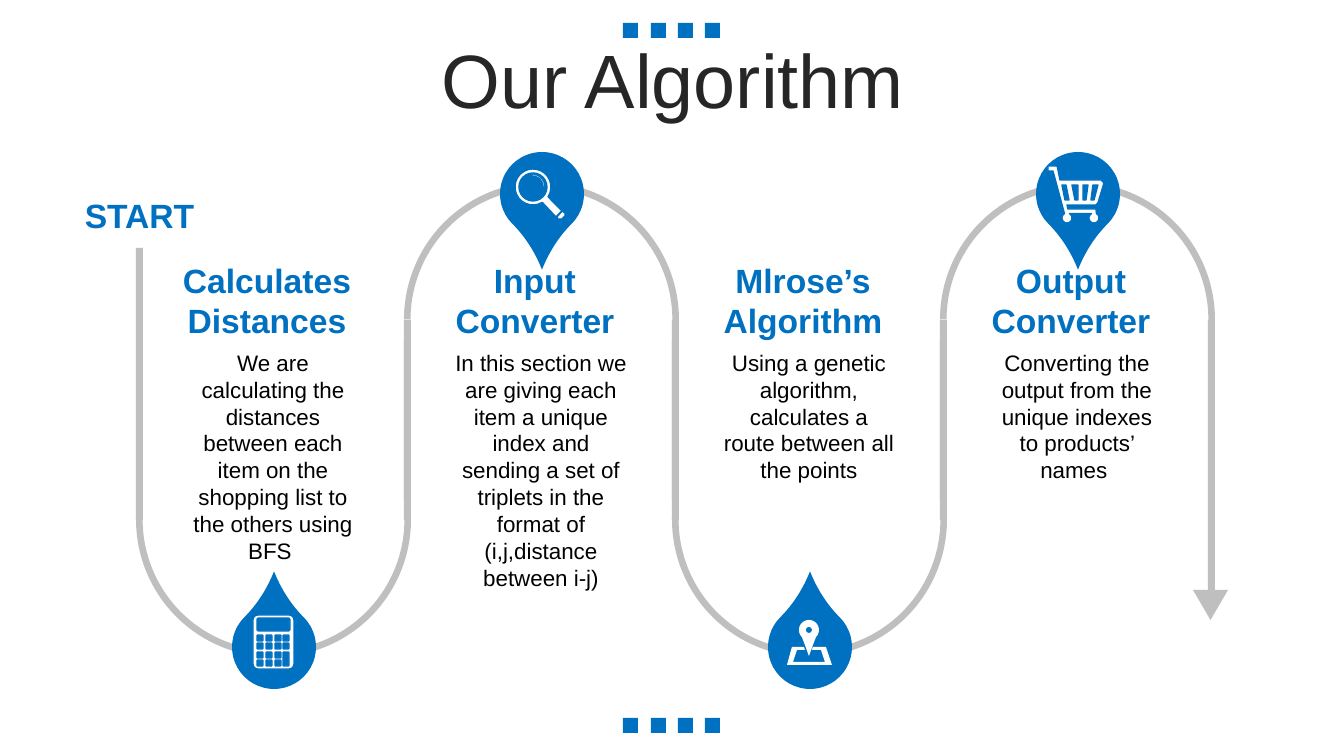
from math import cos, radians, sin

from pptx import Presentation
from pptx.dml.color import RGBColor
from pptx.enum.shapes import MSO_SHAPE
from pptx.enum.text import MSO_ANCHOR, MSO_AUTO_SIZE, PP_ALIGN
from pptx.util import Emu, Pt

# Content
TITLE = "Our Algorithm"
START = "START"
STAGES = [
    ("Calculates Distances",
     "We are calculating the distances between each item on the shopping list "
     "to the others using BFS ", 228),
    ("Input Converter",
     "In this section we are giving each item a unique index and sending a set "
     "of triplets in the format of (i,j,distance between i-j)", 254),
    ("Mlrose’s Algorithm",
     "Using a genetic algorithm, calculates a route between all the points", 146),
    ("Output Converter",
     "Converting the output from the unique indexes to products’ names ", 146),
]

COLORS = {"blue": "0070C0", "road": "BFBFBF", "title": "262626",
          "body": "000000", "icon": "FFFFFF"}
FORMATS = {
    "title": {"size": Pt(54), "bold": False},
    "heading": {"size": Pt(24), "bold": True},
    "body": {"size": Pt(16), "bold": False},
}

# Layout in px
EMU_PER_PX = 914400 / 100.8
PITCH, LANE_X, LANE_W = 268, 136, 7
ARCH = PITCH + LANE_W
LEG, LONG_LEG = 179, 272
DROP = 84


def px(length):
    return Emu(round(length * EMU_PER_PX))


# Icon outlines
def arc(cx, cy, radius, start=0, end=360, steps=24):
    angles = [radians(start + (end - start) * k / steps) for k in range(steps + 1)]
    return [(cx + radius * cos(a), cy + radius * sin(a)) for a in angles]


def rounded(left, top, width, height, radius):
    right, bottom = left + width - radius, top + height - radius
    left, top = left + radius, top + radius
    corners = [(left, top), (right, top), (right, bottom), (left, bottom)]
    return [point for k, (x, y) in enumerate(corners)
            for point in arc(x, y, radius, 180 + 90 * k, 270 + 90 * k, 6)]


def calculator():
    columns, rows = (257, 266, 275, 283), (635, 643, 652, 660)
    keys = [rounded(x, y, 6, 6, 1) for y in rows for x in columns
            if x < columns[-1] or y < rows[2]]
    tall_key = rounded(columns[-1], rows[2], 6, 14, 1)
    return [rounded(253, 615, 41, 54, 5), rounded(257, 618, 33, 13, 2),
            *keys, tall_key]


def magnifier():
    return [
        [*arc(533, 187, 18, 59, 393), (562, 211), (556, 217)],
        arc(533, 187, 14),
        [*arc(532, 187, 13, -90, 0), *arc(532, 187, 11, 0, -90)],
        [(562, 211), (565, 213), (565, 216), (562, 219), (558, 219), (557, 217)],
    ]


def map_pin():
    return [
        [(792, 647), (804, 647), (805, 650), (797, 650), (793, 662), (825, 662),
         (821, 650), (812, 650), (813, 647), (826, 647), (832, 665), (787, 665)],
        [*arc(809, 630, 10, 135, 405), (813, 645), (809, 656), (805, 645)],
        arc(809, 630, 3),
    ]


def cart():
    return [
        [(1057, 165), (1060, 180), (1101, 180), (1104, 183), (1098, 203),
         (1096, 205), (1067, 205), (1068, 209), (1096, 209),
         *arc(1094, 218, 5, -60, 240), *arc(1067, 218, 5, -60, 240),
         (1053, 171), (1048, 171), (1048, 166), (1056, 166)],
        [(1093, 185), (1091, 200), (1094, 200), (1098, 185)],
        [(1083, 185), (1083, 200), (1086, 200), (1088, 185)],
        [(1072, 185), (1075, 200), (1078, 200), (1078, 185)],
        [(1062, 185), (1065, 200), (1069, 200), (1066, 185)],
    ]


ICONS = [(calculator(), True), (magnifier(), True), (map_pin(), False), (cart(), True)]

deck = Presentation()
deck.slide_width, deck.slide_height = px(1344), px(756)
slide = deck.slides.add_slide(deck.slide_layouts[6])


def paint(shape, color, outlined=False):
    shape.shadow.inherit = False
    shape.fill.solid()
    shape.fill.fore_color.rgb = RGBColor.from_string(COLORS[color])
    if outlined:
        shape.line.color.rgb = RGBColor.from_string(COLORS["blue"])
        shape.line.width = Pt(1)
    else:
        shape.line.fill.background()


def place(kind, box, color, rotation=0, adjustments=()):
    shape = slide.shapes.add_shape(kind, *map(px, box))
    shape.rotation = rotation
    for k, value in enumerate(adjustments):
        shape.adjustments[k] = value
    paint(shape, color)


def write(text, box, style, color, anchor=MSO_ANCHOR.TOP, grow=False):
    frame = slide.shapes.add_textbox(*map(px, box)).text_frame
    frame.word_wrap = True
    frame.vertical_anchor = anchor
    frame.auto_size = MSO_AUTO_SIZE.SHAPE_TO_FIT_TEXT if grow else MSO_AUTO_SIZE.NONE
    paragraph = frame.paragraphs[0]
    paragraph.alignment = PP_ALIGN.CENTER
    run = paragraph.add_run()
    run.text = text
    run.font.name = "Arial"
    run.font.color.rgb = RGBColor.from_string(COLORS[color])
    for name, value in FORMATS[style].items():
        setattr(run.font, name, value)
    return paragraph


def draw_icon(contours, outlined):
    outlines = [[(px(x), px(y)) for x, y in contour] for contour in contours]
    builder = slide.shapes.build_freeform(*outlines[0][0], scale=1.0)
    for k, points in enumerate(outlines):
        if k:
            builder.move_to(*points[0])
        builder.add_line_segments(points[1:], close=True)
    paint(builder.convert_to_shape(), "icon", outlined)


# Square rows and title
for top in (23, 718):
    for k in range(4):
        place(MSO_SHAPE.RECTANGLE, (623 + round(27.5 * k), top, 15, 15), "blue")
heading = write(TITLE, (35, 44, 1276, 80), "title", "title", MSO_ANCHOR.MIDDLE)
heading.line_spacing = 0.9
heading.space_before = Pt(10)

# Winding road: arches alternate below and above
last = len(STAGES) - 1
for k in range(len(STAGES)):
    x, above = LANE_X + PITCH * k, k % 2
    place(MSO_SHAPE.BLOCK_ARC, (x, 182 if above else 382, ARCH, ARCH), "road",
          0 if above else 180, (108, 0.356, 0.024))
    leg_top = 320 if above else 341
    left_leg = (248, LONG_LEG) if k == 0 else (leg_top, LEG)
    right_leg = (leg_top, LONG_LEG if k == last else LEG)
    for leg_x, (top, height) in ((x, left_leg), (x + PITCH, right_leg)):
        place(MSO_SHAPE.RECTANGLE, (leg_x, top, LANE_W, height), "road")
place(MSO_SHAPE.ISOSCELES_TRIANGLE, (1193, 590, 35, 30), "road", 180)
write(START, (65, 193, 149, 44), "heading", "blue", MSO_ANCHOR.MIDDLE)

# Stages: drop, heading, description, icon
for k, ((name, description, height), icon) in enumerate(zip(STAGES, ICONS)):
    shift, above = PITCH * k, k % 2
    place(MSO_SHAPE.TEAR, (232 + shift, 152 if above else 605, DROP, DROP), "blue",
          135 if above else 315, (1.273,))
    write(description, (176 + shift, 344, 194, height), "body", "body", grow=True)
    write(name, (170 + shift, 255, 194, 92), "heading", "blue", grow=True)
    draw_icon(*icon)

deck.save("out.pptx")
